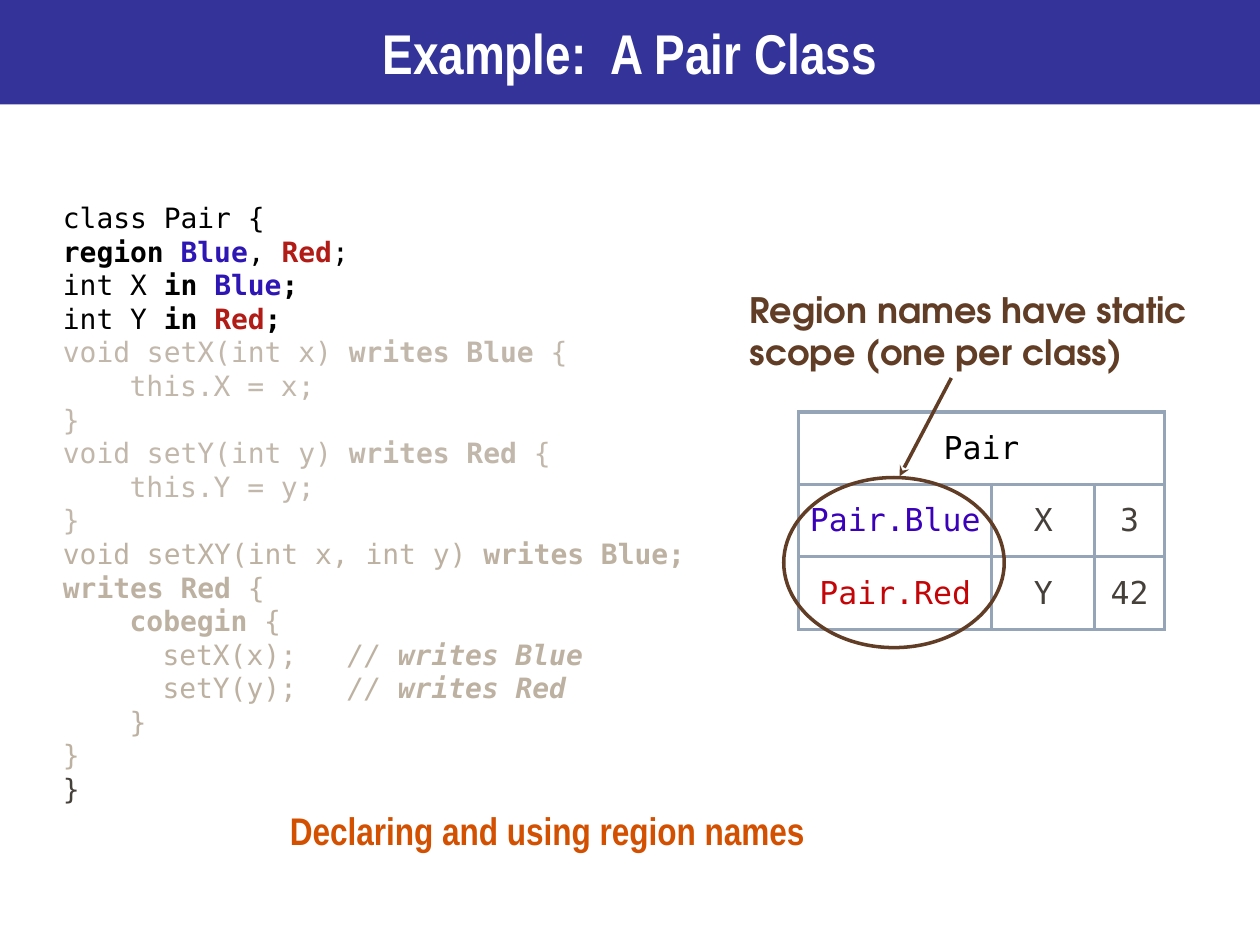
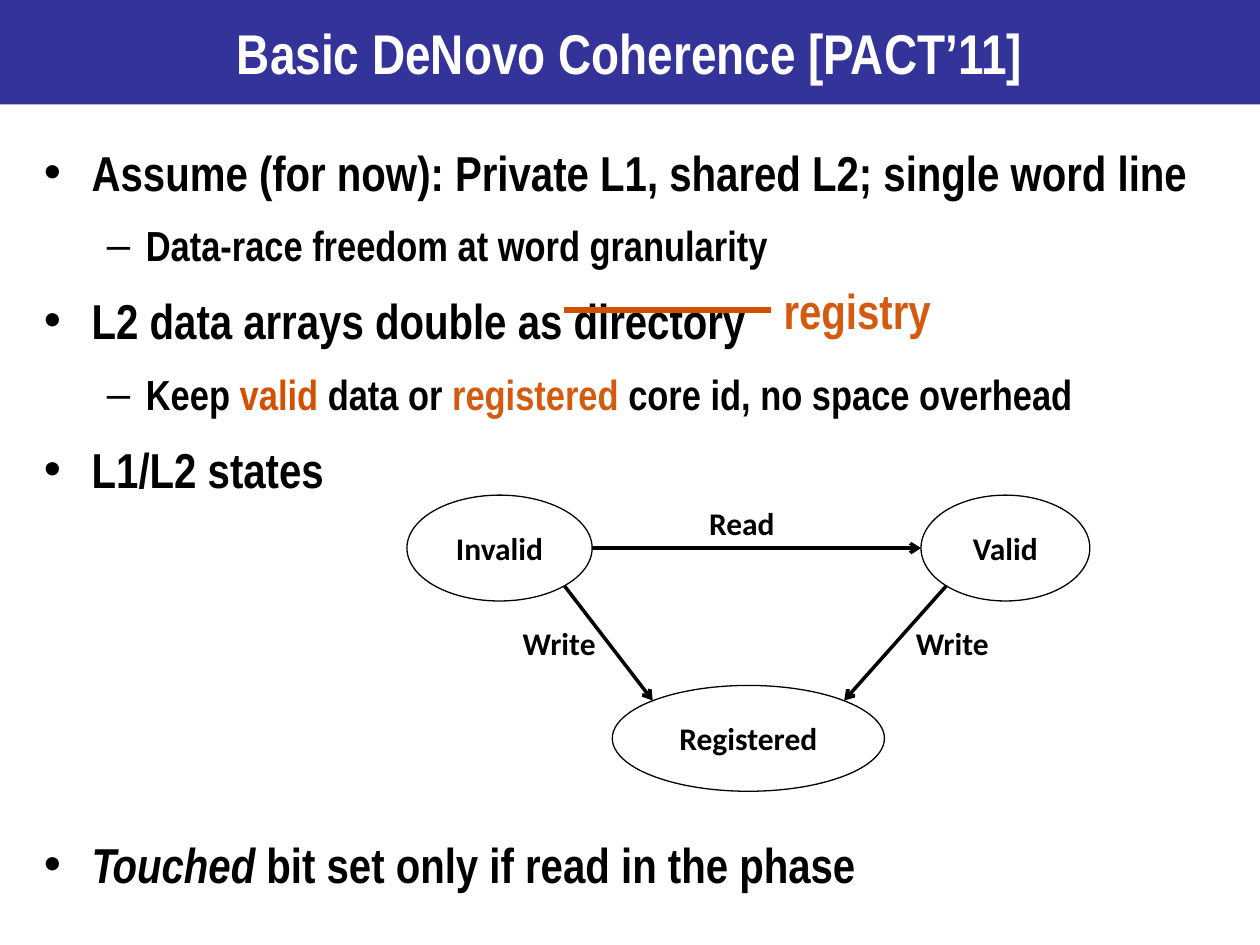
from math import cos, radians, sin

from lxml.etree import SubElement
from pptx import Presentation
from pptx.dml.color import RGBColor
from pptx.enum.shapes import MSO_CONNECTOR, MSO_SHAPE
from pptx.enum.text import MSO_ANCHOR, PP_ALIGN
from pptx.oxml.ns import qn
from pptx.util import Emu, Pt

SCALE = 9144  # EMU in one px, 100 px to the inch
COLORS = {
    "band": "333399", "white": "FFFFFF", "black": "000000",
    "blue": "2E16B4", "red": "B11C17", "cell_blue": "3A00BA", "cell_red": "C40406",
    "faded": "C1B7AA", "faded_body": "BDB1A1", "dark": "45403A",
    "orange": "D25000", "amber": "D45A0F", "brown": "613D26", "border": "95A4B7",
}
NARROW, MONO = "Arial Narrow", "DejaVu Sans Mono"
ROUND, LABEL = "TeX Gyre Adventor", "Calibri"
LEADING = 1.2


def px(n):
    return Emu(round(n * SCALE))


def rgb(name):
    return RGBColor.from_string(COLORS[name])


def rim(sp, angle):
    """Point on an ellipse's outline in px, the angle clockwise from the right."""
    rx, ry = sp.width / 2, sp.height / 2
    x = sp.left + rx + rx * cos(radians(angle))
    y = sp.top + ry + ry * sin(radians(angle))
    return round(x / SCALE), round(y / SCALE)


class Deck:
    def __init__(self):
        self.prs = Presentation()
        self.prs.slide_width, self.prs.slide_height = px(1000), px(750)
        self.s = None

    def slide(self, title):
        self.s = self.prs.slides.add_slide(self.prs.slide_layouts[6])
        band = self.shape(MSO_SHAPE.RECTANGLE, (0, 0, 1000, 83), fill="band")
        self.paragraph(band.text_frame, [title], 32, NARROW, "white", "b", PP_ALIGN.CENTER)

    def paragraph(self, tf, runs, size, font, color, style="", align=None):
        """Add a paragraph; a run is a text or a tuple (text, colour, style of b and i)."""
        p = tf.paragraphs[0]
        if p.runs:
            p = tf.add_paragraph()
        p.alignment = align
        for run in runs:
            text, run_color, run_style = (run, color, style) if isinstance(run, str) else run
            r = p.add_run()
            r.text = text
            r.font.name, r.font.size = font, Pt(size)
            r.font.bold, r.font.italic = "b" in run_style, "i" in run_style
            r.font.color.rgb = rgb(run_color)
        return p

    def indent(self, p, left, hanging=0, bullet=None):
        pPr = p._p.get_or_add_pPr()
        pPr.set("marL", str(px(left)))
        pPr.set("indent", str(px(-hanging)))
        if bullet:
            SubElement(pPr, qn("a:buFont")).set("typeface", "Arial")
            SubElement(pPr, qn("a:buChar")).set("char", bullet)

    def box(self, at, anchor=MSO_ANCHOR.TOP, wrap=True, inset=True):
        tf = self.s.shapes.add_textbox(*map(px, at)).text_frame
        tf.word_wrap, tf.vertical_anchor = wrap, anchor
        if not inset:
            tf.margin_left = tf.margin_right = tf.margin_top = tf.margin_bottom = 0
        return tf

    def shape(self, kind, at, fill=None, line=None, width=1):
        sp = self.s.shapes.add_shape(kind, *map(px, at))
        sp.shadow.inherit = False
        if fill:
            sp.fill.solid()
            sp.fill.fore_color.rgb = rgb(fill)
        else:
            sp.fill.background()
        if line:
            sp.line.color.rgb = rgb(line)
            sp.line.width = Pt(width)
        else:
            sp.line.fill.background()
        sp.text_frame.vertical_anchor = MSO_ANCHOR.MIDDLE
        return sp

    def line(self, start, end, color, width=2, arrow=None):
        cx = self.s.shapes.add_connector(MSO_CONNECTOR.STRAIGHT, *map(px, (*start, *end)))
        cx.line.color.rgb = rgb(color)
        cx.line.width = Pt(width)
        if arrow:
            SubElement(cx.line._get_or_add_ln(), qn("a:tailEnd")).set("type", arrow)
        SubElement(cx._element.spPr, qn("a:effectLst"))

    def table(self, at, cols, row_height, rows):
        """Add a table; a cell is (text, colour), or None where a merged cell goes on."""
        frame = self.s.shapes.add_table(
            len(rows), len(cols), *map(px, (*at, sum(cols), row_height * len(rows))))
        tbl = frame.table
        tbl.first_row = tbl.horz_banding = False
        for col, width in zip(tbl.columns, cols):
            col.width = px(width)
        for y, row in enumerate(rows):
            tbl.rows[y].height = px(row_height)
            for x, content in enumerate(row):
                cell = tbl.cell(y, x)
                self.borders(cell)
                cell.fill.background()
                cell.vertical_anchor = MSO_ANCHOR.MIDDLE
                cell.margin_left = cell.margin_right = px(4)
                cell.margin_top = cell.margin_bottom = px(4)
                if content:
                    text, color = content
                    self.paragraph(cell.text_frame, [text], 18, MONO, color,
                                   align=PP_ALIGN.CENTER)
        return tbl

    def borders(self, cell):
        tcPr = cell._tc.get_or_add_tcPr()
        for side in ("a:lnL", "a:lnR", "a:lnT", "a:lnB"):
            ln = SubElement(tcPr, qn(side), w=str(Pt(2)))
            fill = SubElement(ln, qn("a:solidFill"))
            SubElement(fill, qn("a:srgbClr")).set("val", COLORS["border"])


def field(name, region, color):
    return 0, "black", [f"int {name} ", ("in ", "black", "b"), (region, color, "b"),
                        (";", "black", "b")]


def setter(name, region):
    arg = name.lower()
    return [
        (0, "faded", [f"void set{name}(int {arg}) ", (f"writes {region} ", "faded", "b"), "{"]),
        (53, "faded", [f"this.{name} = {arg};"]),
        (0, "faded", ["}"]),
    ]


def call(name, region):
    return 79, "faded_body", [f"set{name}({name.lower()});   ", ("// ", "faded_body", "i"),
                              (f"writes {region}", "faded_body", "bi")]


def pair_slide(deck):
    deck.slide("Example:  A Pair Class")
    code = [
        (0, "black", ["class Pair {"]),
        (0, "black", [("region ", "black", "b"), ("Blue", "blue", "b"), ", ",
                      ("Red", "red", "b"), ";"]),
        field("X", "Blue", "blue"),
        field("Y", "Red", "red"),
        *setter("X", "Blue"),
        *setter("Y", "Red"),
        (0, "faded_body", ["void setXY(int x, int y) ",
                           ("writes Blue; writes Red", "faded_body", "b"), " {"]),
        (53, "faded_body", [("cobegin", "faded_body", "b"), " {"]),
        call("X", "Blue"),
        call("Y", "Red"),
        (53, "faded_body", ["}"]),
        (0, "faded_body", ["}"]),
        (0, "dark", ["}"]),
    ]
    tf = deck.box((50, 164, 584, 475), MSO_ANCHOR.BOTTOM, inset=False)
    for left, color, runs in code:
        p = deck.paragraph(tf, runs, 16, MONO, color)
        p.line_spacing = Pt(16 * LEADING)
        deck.indent(p, left)

    tbl = deck.table((634, 327), (153, 82, 55), 57.5, [
        [("Pair", "black"), None, None],
        [("Pair.Blue", "cell_blue"), ("X", "dark"), ("3", "dark")],
        [("Pair.Red", "cell_red"), ("Y", "dark"), ("42", "dark")],
    ])
    tbl.cell(0, 0).merge(tbl.cell(0, 2))

    tf = deck.box((230, 640, 412, 37), MSO_ANCHOR.BOTTOM, wrap=False, inset=False)
    deck.paragraph(tf, ["Declaring and using region names"], 22, NARROW, "orange", "b")

    deck.shape(MSO_SHAPE.OVAL, (622, 379, 175, 135), line="brown", width=2)
    tf = deck.box((595, 223, 360, 79), MSO_ANCHOR.MIDDLE, inset=False)
    p = deck.paragraph(tf, ["Region names have static scope (one per class)"],
                       20, ROUND, "brown", "b")
    p.line_spacing = Pt(20 * LEADING)
    deck.line((755, 300), (714, 378), "brown", arrow="stealth")


def coherence_slide(deck):
    deck.slide("Basic DeNovo Coherence [PACT’11]")
    levels = [(28, 38, 38, "•"), (24, 81, 31, "–")]
    after = 6
    diagram_gap = 4 * (28 * (LEADING + 0.2) + after)
    points = [
        (0, 0, ["Assume (for now): Private L1, shared L2; single word line"]),
        (1, 0, ["Data-race freedom at word granularity"]),
        (0, 0, ["L2 data arrays double as directory"]),
        (1, 0, ["Keep ", ("valid", "orange", "b"), " data or ", ("registered", "amber", "b"),
                " core id, no space overhead"]),
        (0, 0, ["L1/L2 states"]),
        (0, diagram_gap, [("Touched ", "black", "bi"), "bit set only if read in the phase"]),
    ]
    tf = deck.box((25, 108, 933, 617))
    for i, (level, gap, runs) in enumerate(points):
        size, left, hanging, bullet = levels[level]
        p = deck.paragraph(tf, runs, size, NARROW, "black", "b")
        p.line_spacing = Pt(size * LEADING)
        p.space_before = Pt(size * 0.2 + gap if i else 0)
        p.space_after = Pt(after)
        deck.indent(p, left, hanging, bullet)

    tf = deck.box((612, 218, 138, 57), wrap=False)
    deck.paragraph(tf, ["registry"], 28, NARROW, "amber", "b")

    states = {}
    for name, x, y, w in (("Invalid", 323, 393, 147), ("Valid", 731, 393, 134),
                          ("Registered", 486, 544, 216)):
        sp = deck.shape(MSO_SHAPE.OVAL, (x, y, w, 84), line="black", width=0.75)
        sp.text_frame.word_wrap = False
        deck.paragraph(sp.text_frame, [name], 18, LABEL, "black", "b", PP_ALIGN.CENTER)
        states[name] = sp

    for source, out, target, into, label, at in (
            ("Invalid", 0, "Valid", 180, "Read", (553, 395)),
            ("Invalid", 45, "Registered", 225, "Write", (405, 490)),
            ("Valid", 135, "Registered", 315, "Write", (717, 490))):
        deck.line(rim(states[source], out), rim(states[target], into), "black", arrow="arrow")
        tf = deck.box((*at, 83, 40), wrap=False)
        deck.paragraph(tf, [label], 18, LABEL, "black", "b")

    deck.line((448, 246), (612, 246), "orange", width=3)


def main():
    deck = Deck()
    pair_slide(deck)
    coherence_slide(deck)
    deck.prs.save("out.pptx")


if __name__ == "__main__":
    main()
